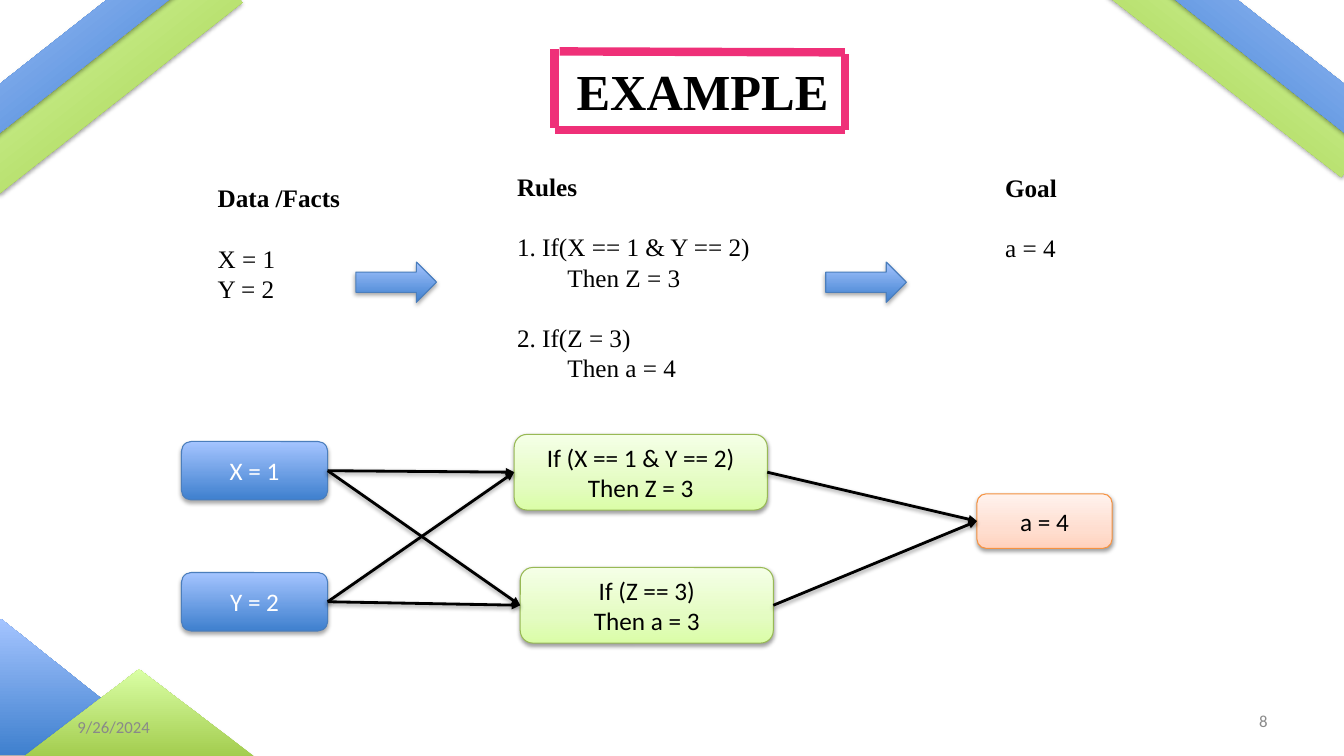
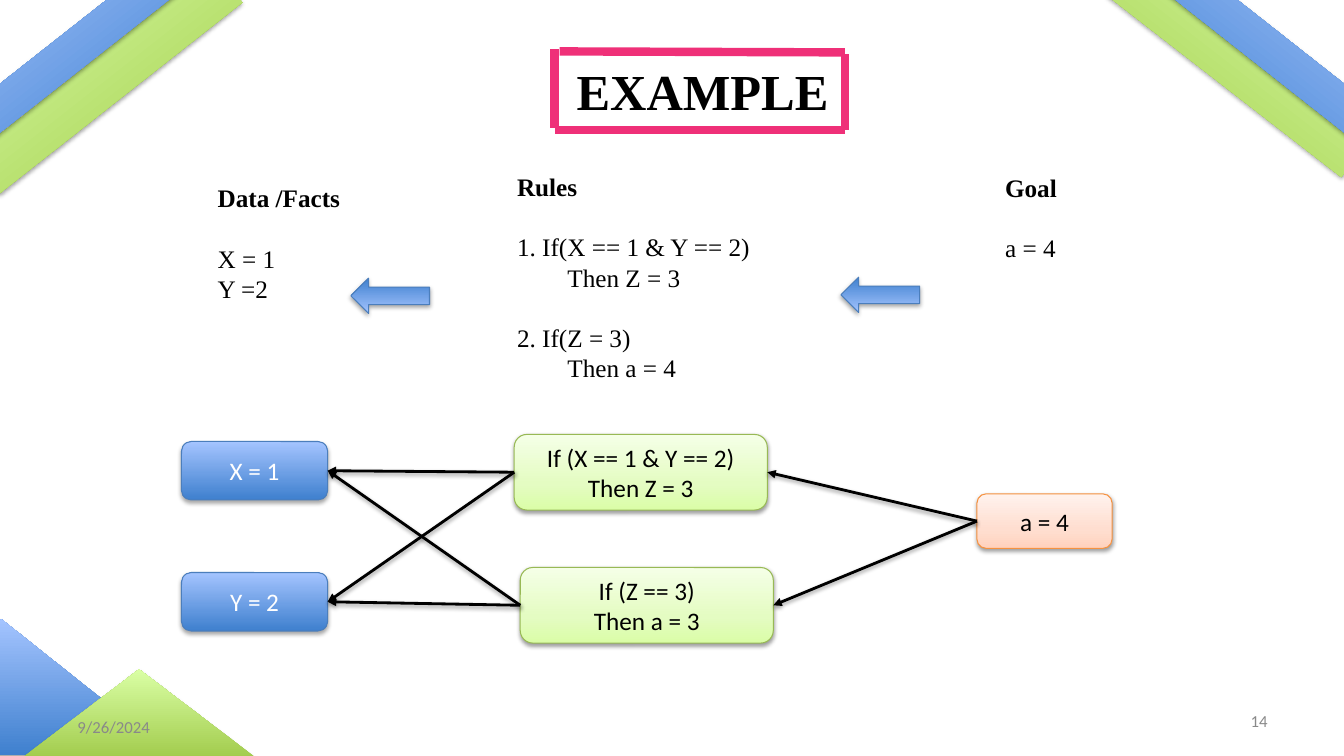
from itertools import chain, product

from lxml.etree import SubElement
from pptx import Presentation
from pptx.dml.color import RGBColor
from pptx.enum.shapes import MSO_CONNECTOR, MSO_SHAPE
from pptx.enum.text import MSO_ANCHOR, PP_ALIGN
from pptx.oxml.ns import qn
from pptx.util import Inches, Pt

COLORS = {
    "text": "000000",
    "light": "FFFFFF",
    "footer": "898989",
    "frame": "EF3078",
    "blue line": "4B7EBC",
    "green line": "98B955",
    "orange line": "F69240",
}
GRADIENTS = {
    "blue": [(0, "3F80CE"), (100, "A4C4FF")],
    "green": [(0, "A0CA4A"), (100, "DAFFA5")],
    "pale green": [(0, "DAFDA7"), (35, "E4FCC2"), (100, "F5FFE7")],
    "pale orange": [(0, "FFD2BD"), (35, "FFDED0"), (100, "FFF2ED")],
}
FORMATS = {
    "title": {"name": "Times New Roman", "size": Pt(36), "bold": True},
    "heading": {"name": "Times New Roman", "size": Pt(18), "bold": True},
    "body": {"name": "Times New Roman", "size": Pt(18), "bold": False},
    "node": {"name": "Calibri", "size": Pt(18), "bold": False},
    "footer": {"name": "Calibri", "size": Pt(12), "bold": False},
}
SHADOWS = {
    "strong": {"alpha": 35, "blur": 40000, "distance": 23000},
    "soft": {"alpha": 38, "blur": 40000, "distance": 20000},
}
BANDS = [
    (MSO_SHAPE.RECTANGLE, (-0.47, 0.56, 3.06, 0.46), "green", 321.8),
    (MSO_SHAPE.RECTANGLE, (-0.69, 0.38, 2.66, 0.38), "blue", 321.8),
    (MSO_SHAPE.ISOSCELES_TRIANGLE, (-0.52, 6.14, 2.23, 1.35), "blue", 0),
    (MSO_SHAPE.ISOSCELES_TRIANGLE, (0.18, 6.64, 2.4, 0.91), "green", 0),
    (MSO_SHAPE.RECTANGLE, (10.8, 0.48, 2.94, 0.42), "green", 37.8),
    (MSO_SHAPE.RECTANGLE, (11.26, 0.3, 2.66, 0.38), "blue", 38.2),
]
FRAME = [
    (5.55, 0.51, 8.38, 0.52),
    (5.5, 1.29, 8.38, 1.29),
    (5.5, 0.49, 5.5, 1.27),
    (8.38, 0.54, 8.38, 1.29),
]
RIGHT, LEFT = 3, 1


class Deck:
    def __init__(self):
        self.presentation = Presentation()
        self.presentation.slide_width = Inches(13.33)
        self.presentation.slide_height = Inches(7.5)
        self.slide = None

    def color(self, name):
        return RGBColor.from_string(COLORS[name])

    def start_slide(self, title, date, number):
        self.slide = self.presentation.slides.add_slide(self.presentation.slide_layouts[6])
        for kind, box, gradient, rotation in BANDS:
            shape = self.shape(kind, box, gradient, rotation=rotation)
            if kind == MSO_SHAPE.ISOSCELES_TRIANGLE and gradient == "blue":
                shape.adjustments[0] = 0.238
        for ends in FRAME:
            self.line(ends, "frame", 6)
        self.text((5.62, 0.55, 2.76, 0.71), [(title, "title", 0, 0)])
        footers = [
            ((0.67, 7.01, 3.11, 0.4), date, PP_ALIGN.LEFT),
            ((9.56, 6.95, 3.11, 0.4), number, PP_ALIGN.RIGHT),
        ]
        for box, wording, alignment in footers:
            self.text(box, [(wording, "footer", 0, 0)], "footer", alignment, MSO_ANCHOR.MIDDLE)

    def shadow(self, properties, style):
        effects = properties.find(qn("a:effectLst"))
        if effects is None:
            effects = SubElement(properties, qn("a:effectLst"))
        if style:
            values = SHADOWS[style]
            outer = SubElement(effects, qn("a:outerShdw"), blurRad=str(values["blur"]),
                               dist=str(values["distance"]), dir="5400000", rotWithShape="0")
            color = SubElement(outer, qn("a:srgbClr"), val="000000")
            SubElement(color, qn("a:alpha"), val=str(values["alpha"] * 1000))

    def gradient(self, shape, name):
        shape.fill.gradient()
        shape.fill.gradient_angle = 90
        stops = shape.element.spPr.find(qn("a:gradFill")).find(qn("a:gsLst"))
        for stop in list(stops):
            stops.remove(stop)
        for position, color in GRADIENTS[name]:
            stop = SubElement(stops, qn("a:gs"), pos=str(position * 1000))
            SubElement(stop, qn("a:srgbClr"), val=color)

    def shape(self, kind, box, gradient, outline=None, rotation=0, shadow="strong"):
        shape = self.slide.shapes.add_shape(kind, *map(Inches, box))
        shape.rotation = rotation
        self.gradient(shape, gradient)
        if outline:
            shape.line.color.rgb = self.color(outline)
            shape.line.width = Pt(0.75)
        else:
            shape.line.fill.background()
        shape.shadow.inherit = False
        self.shadow(shape.element.spPr, shadow)
        return shape

    def wording(self, paragraph, words, style, color):
        run = paragraph.add_run()
        run.text = words
        for name, value in FORMATS[style].items():
            setattr(run.font, name, value)
        run.font.color.rgb = self.color(color)

    def text(self, box, lines, color="text", alignment=PP_ALIGN.LEFT, anchor=MSO_ANCHOR.TOP):
        frame = self.slide.shapes.add_textbox(*map(Inches, box)).text_frame
        frame.word_wrap = True
        frame.vertical_anchor = anchor
        for index, (words, style, gap, indent) in enumerate(lines):
            paragraph = frame.paragraphs[0] if index == 0 else frame.add_paragraph()
            paragraph.alignment = alignment
            if style != "footer":
                paragraph.line_spacing = Pt(FORMATS[style]["size"].pt * 1.2)
            if gap:
                paragraph.space_before = Pt(gap)
            if indent:
                paragraph._p.get_or_add_pPr().set("marL", str(Inches(indent)))
            self.wording(paragraph, words, style, color)

    def node(self, box, lines, gradient, outline, color="text", shadow="soft"):
        shape = self.shape(MSO_SHAPE.ROUNDED_RECTANGLE, box, gradient, outline, shadow=shadow)
        frame = shape.text_frame
        frame.word_wrap = True
        frame.vertical_anchor = MSO_ANCHOR.MIDDLE
        for index, words in enumerate(lines):
            paragraph = frame.paragraphs[0] if index == 0 else frame.add_paragraph()
            paragraph.alignment = PP_ALIGN.CENTER
            self.wording(paragraph, words, "node", color)
        return shape

    def line(self, ends, color, width, shadow=None):
        connector = self.slide.shapes.add_connector(MSO_CONNECTOR.STRAIGHT, *map(Inches, ends))
        connector.line.color.rgb = self.color(color)
        connector.line.width = Pt(width)
        self.shadow(connector.element.spPr, shadow)
        return connector

    def link(self, source, target, source_side, target_side):
        connector = self.line((0, 0, 1, 1), "text", 2, "soft")
        connector.begin_connect(source, source_side)
        connector.end_connect(target, target_side)
        SubElement(connector.element.spPr.find(qn("a:ln")), qn("a:tailEnd"), type="triangle")

    def block_arrow(self, box, rotation):
        self.shape(MSO_SHAPE.RIGHT_ARROW, box, "blue", "blue line", rotation)

    def example(self, number, second_fact, arrows, backward):
        self.start_slide("EXAMPLE", "9/26/2024", number)
        gap = 21.6
        self.text((2.06, 1.76, 2.51, 1.31), [
            ("Data /Facts", "heading", 0, 0),
            ("X = 1", "body", gap, 0),
            (second_fact, "body", 0, 0),
        ])
        self.text((5.03, 1.65, 3.8, 2.22), [
            ("Rules", "heading", 0, 0),
            ("1. If(X == 1 & Y == 2)", "body", gap, 0),
            ("Then Z = 3", "body", 0, 0.5),
            ("2. If(Z = 3)", "body", gap, 0),
            ("Then a = 4", "body", 0, 0.5),
        ])
        self.text((9.87, 1.66, 0.8, 1.01), [
            ("Goal", "heading", 0, 0),
            ("a = 4", "body", gap, 0),
        ])
        facts = [
            self.node((1.8, top, 1.45, 0.58), [words], "blue", "blue line", "light", "strong")
            for top, words in [(4.38, "X = 1"), (5.68, "Y = 2")]
        ]
        rules = [
            self.node((left, top, 2.51, 0.75), lines, "pale green", "green line")
            for left, top, lines in [
                (5.1, 4.31, ["If (X == 1 & Y == 2)", "Then Z = 3"]),
                (5.16, 5.63, ["If (Z == 3)", "Then a = 3"]),
            ]
        ]
        goal = self.node((9.69, 4.9, 1.34, 0.54), ["a = 4"], "pale orange", "orange line")
        for source, target in chain(product(facts, rules), product(rules, [goal])):
            if backward:
                self.link(target, source, LEFT, RIGHT)
            else:
                self.link(source, target, RIGHT, LEFT)
        for box in arrows:
            self.block_arrow(box, 180 if backward else 0)


def main():
    deck = Deck()
    deck.example("8", "Y = 2", [(3.53, 2.6, 0.8, 0.4), (8.19, 2.6, 0.8, 0.4)], False)
    deck.example("14", "Y =2", [(3.48, 2.76, 0.78, 0.35), (8.34, 2.75, 0.78, 0.35)], True)
    deck.presentation.save("out.pptx")


if __name__ == "__main__":
    main()
